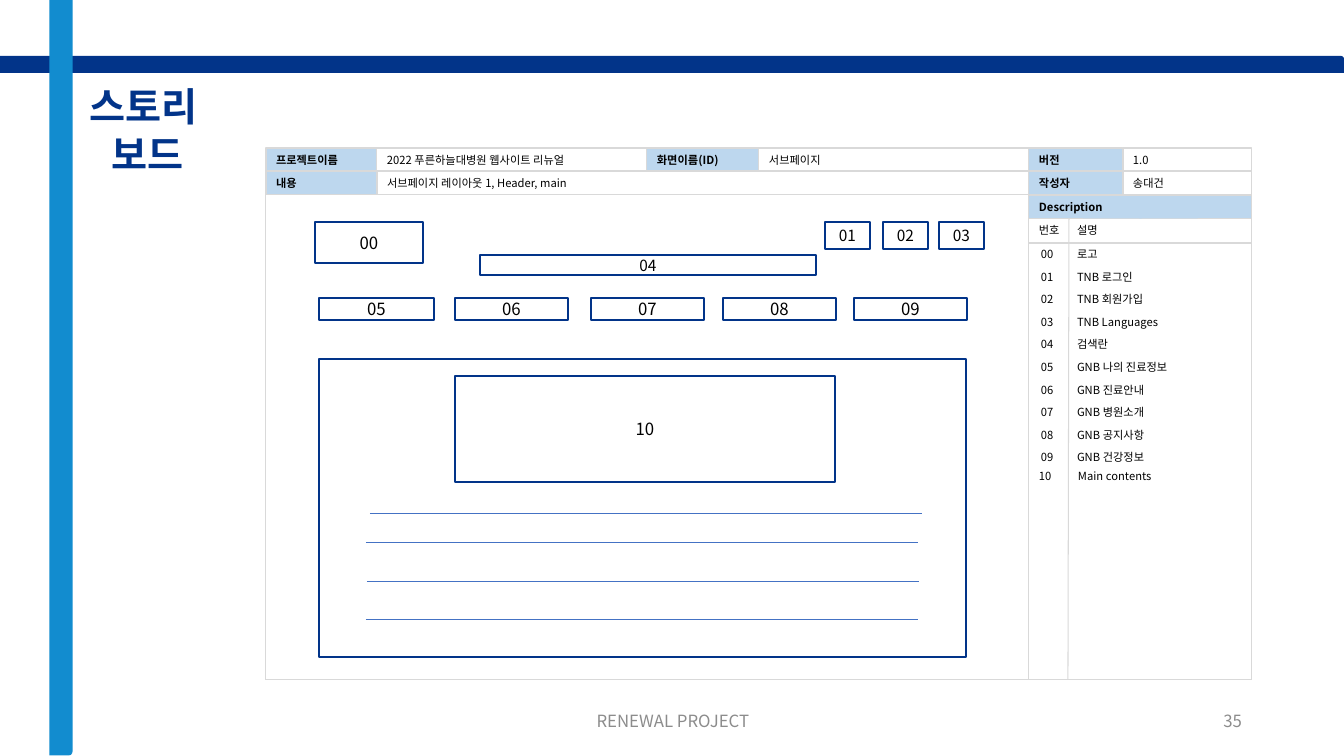
from lxml import etree
from pptx import Presentation
from pptx.dml.color import RGBColor
from pptx.enum.shapes import MSO_CONNECTOR, MSO_SHAPE
from pptx.enum.text import MSO_ANCHOR, MSO_AUTO_SIZE, PP_ALIGN
from pptx.oxml.ns import qn
from pptx.util import Emu, Pt

NAVY = RGBColor(0x02, 0x34, 0x89)
SKY = RGBColor(0x12, 0x8C, 0xCF)
PALE_BLUE = RGBColor(0xBD, 0xD7, 0xEE)
RULE_BLUE = RGBColor(0x44, 0x72, 0xC4)
GRID_GRAY = RGBColor(0xD9, 0xD9, 0xD9)
FOOTER_GRAY = RGBColor(0x8C, 0x8C, 0x8C)
BLACK = RGBColor(0, 0, 0)

LEFT, CENTER, RIGHT = PP_ALIGN.LEFT, PP_ALIGN.CENTER, PP_ALIGN.RIGHT
TOP, MIDDLE = MSO_ANCHOR.TOP, MSO_ANCHOR.MIDDLE
NO_AUTOFIT = MSO_AUTO_SIZE.NONE
RECTANGLE, ROUND_CORNER = MSO_SHAPE.RECTANGLE, MSO_SHAPE.ROUND_1_RECTANGLE
STRAIGHT = MSO_CONNECTOR.STRAIGHT
LEFT_SIDE = 1

PX = 914400 / 100.8
TITLE_FONT = "Noto Sans"
BODY_FONT = "Noto Sans CJK KR"


def px(*lengths):
    return [Emu(round(length * PX)) for length in lengths]


class Storyboard:
    def __init__(self, presentation):
        self.slide = presentation.slides.add_slide(presentation.slide_layouts[5])
        self.shapes = self.slide.shapes

    def fill_text(self, shape, lines, size, color=BLACK, align=LEFT, anchor=MIDDLE,
                  bold=False, font_name=BODY_FONT, inset=(10, 0), spacing=None):
        frame = shape.text_frame
        frame.word_wrap = True
        frame.auto_size = NO_AUTOFIT
        frame.vertical_anchor = anchor
        frame.margin_left, frame.margin_top = px(*inset)
        frame.margin_right, frame.margin_bottom = px(*inset)
        for index, line in enumerate(lines):
            paragraph = frame.add_paragraph() if index else frame.paragraphs[0]
            paragraph.text = line
            paragraph.alignment = align
            if spacing:
                paragraph.line_spacing = Pt(spacing)
            font = paragraph.font
            font.size, font.bold, font.name = Pt(size), bold, font_name
            font.color.rgb = color
            # Hangul takes the East Asian face
            properties = paragraph._p.get_or_add_pPr().get_or_add_defRPr()
            etree.SubElement(properties, qn("a:ea"), typeface=BODY_FONT)

    def title(self, lines, *box):
        shape = self.shapes.title
        shape.left, shape.top, shape.width, shape.height = px(*box)
        self.fill_text(shape, lines, 28, NAVY, CENTER, TOP, True, TITLE_FONT, (10, 5), 34)

    def text(self, text, *box, size=8, color=BLACK, align=LEFT):
        self.fill_text(self.shapes.add_textbox(*px(*box)), [text], size, color, align)

    def box(self, kind, *box, fill=None, line=None, width=1):
        shape = self.shapes.add_shape(kind, *px(*box))
        shape.shadow.inherit = False
        if fill is None:
            shape.fill.background()
        else:
            shape.fill.solid()
            shape.fill.fore_color.rgb = fill
        if line is None:
            shape.line.fill.background()
        else:
            shape.line.color.rgb = line
            shape.line.width = Pt(width)
        return shape

    def cell(self, text, *box, heading=False):
        fill = PALE_BLUE if heading else None
        shape = self.box(RECTANGLE, *box, fill=fill, line=GRID_GRAY, width=0.75)
        self.fill_text(shape, [text], 8, bold=heading)
        return shape

    def wireframe(self, text, *box, size=12):
        shape = self.box(RECTANGLE, *box, line=NAVY)
        if text:
            self.fill_text(shape, [text], size, align=CENTER)

    def line(self, *ends, color=GRID_GRAY, width=0.75):
        connector = self.shapes.add_connector(STRAIGHT, *px(*ends))
        connector.line.color.rgb = color
        connector.line.width = Pt(width)
        etree.SubElement(connector._element.spPr, qn("a:effectLst"))
        return connector


def main():
    presentation = Presentation()
    presentation.slide_width, presentation.slide_height = px(1344, 756)
    board = Storyboard(presentation)

    # Bars, title and footer
    board.box(ROUND_CORNER, 0, 56, 1344, 17, fill=NAVY)
    board.box(ROUND_CORNER, -317, 366, 756, 23, fill=SKY).rotation = 90
    board.title(["스토리 ", "보드"], 45, 77, 206, 105)
    board.text("RENEWAL PROJECT", 446, 701, 454, 40, size=12, color=FOOTER_GRAY, align=CENTER)
    board.text("35", 950, 701, 302, 40, size=12, color=FOOTER_GRAY, align=RIGHT)

    # Header cells: text, left, right, heading
    header_rows = [
        (148, [("프로젝트이름", 266, 377, True),
               ("2022 푸른하늘대병원 웹사이트 리뉴얼", 377, 647, False),
               ("화면이름(ID)", 647, 759, True), ("서브페이지", 759, 1029, False),
               ("버전", 1029, 1123, True), ("1.0", 1123, 1252, False)]),
        (171, [("내용", 266, 377, True),
               ("서브페이지 레이아웃 1, Header, main", 377, 1029, False),
               ("작성자", 1029, 1123, True), ("송대건", 1123, 1252, False)]),
        (195, [("Description", 1029, 1252, True)]),
    ]
    cells = {}
    for top, row in header_rows:
        for text, left, right, heading in row:
            cells[text] = board.cell(text, left, top, right - left, 24, heading=heading)

    # Grid lines
    divider = board.line(1029, 160, 1029, 680)
    divider.begin_connect(cells["버전"], LEFT_SIDE)
    for ends in [(1069, 219, 1068, 680), (1252, 193, 1252, 680), (1252, 680, 266, 680),
                 (266, 169, 266, 680), (1252, 243, 1029, 243)]:
        board.line(*ends)

    # Description list
    board.text("번호", 1029, 218, 45, 24)
    board.text("설명", 1067, 218, 184, 24)
    descriptions = ["로고", "TNB 로그인", "TNB 회원가입", "TNB Languages", "검색란",
                    "GNB 나의 진료정보", "GNB 진료안내", "GNB 병원소개",
                    "GNB 공지사항", "GNB 건강정보"]
    for index, description in enumerate(descriptions):
        top = 242 + round(index * 22.6)
        board.text(f"{index:02}", 1031, top, 45, 24)
        board.text(description, 1067, top, 184, 24)
    board.text("10", 1029, 464, 45, 24)
    board.text("Main contents", 1068, 464, 184, 24)

    # Page wireframe
    board.wireframe("00", 315, 222, 108, 41)
    for text, left in [("01", 825), ("02", 883), ("03", 939)]:
        board.wireframe(text, left, 222, 45, 27, size=11)
    board.wireframe("04", 480, 255, 336, 20, size=11)
    for text, left, width in [("05", 319, 115), ("06", 455, 113), ("07", 591, 113),
                              ("08", 723, 113), ("09", 854, 113)]:
        board.wireframe(text, left, 298, width, 22)
    board.wireframe("", 319, 359, 647, 298)
    board.wireframe("10", 455, 376, 380, 106)
    for left, top in [(370, 513), (366, 542), (367, 581), (366, 619)]:
        board.line(left, top, left + 552, top, color=RULE_BLUE, width=0.5)

    presentation.save("out.pptx")


if __name__ == "__main__":
    main()
